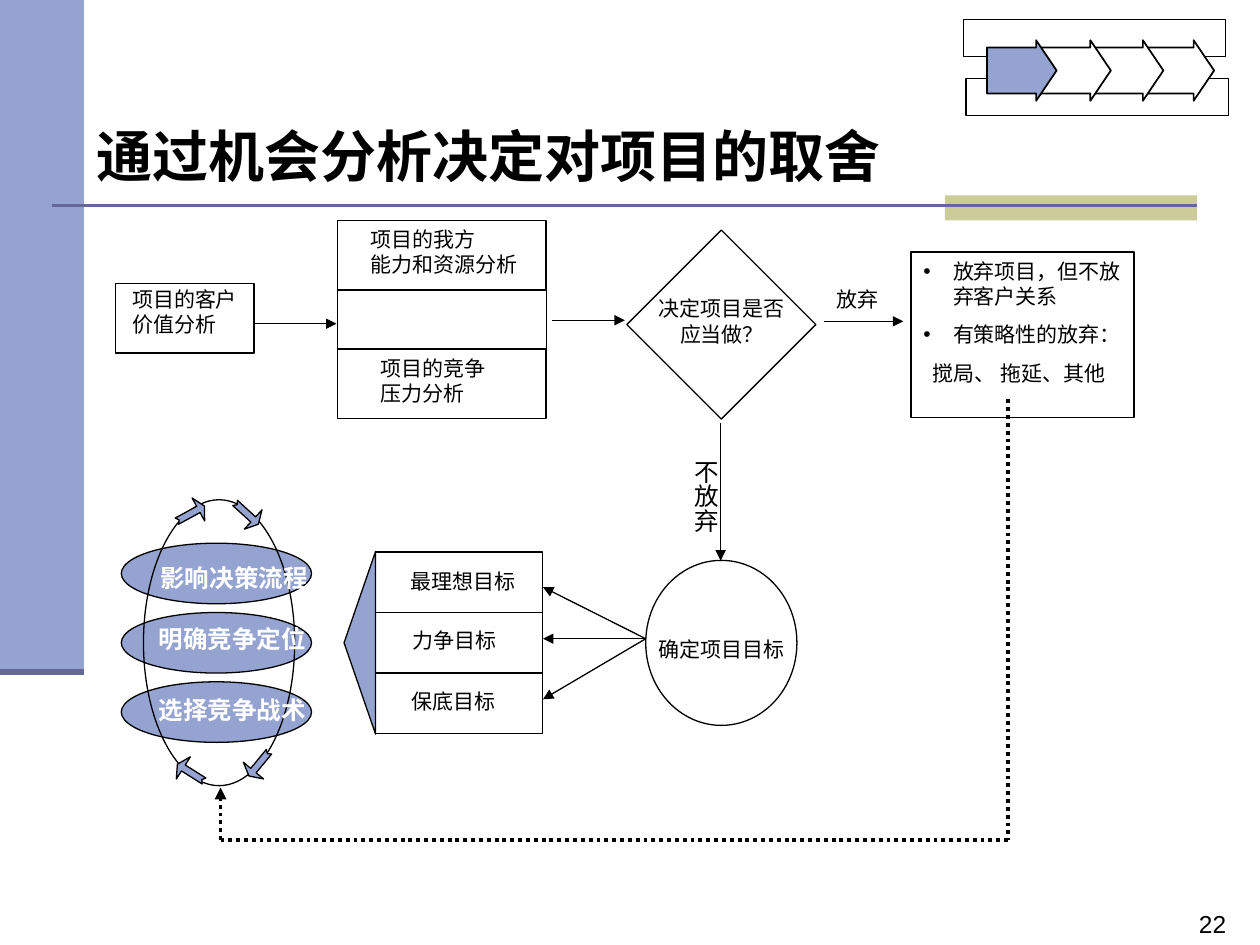
import pptx
import pptx.util
import pptx.dml.color
import pptx.enum.dml
import pptx.enum.shapes
import pptx.enum.text
import pptx.oxml.ns
import lxml.etree

Pt = pptx.util.Pt
SHAPE = pptx.enum.shapes.MSO_SHAPE
ALIGN = pptx.enum.text.PP_ALIGN
SANS = "Noto Sans CJK SC"
BLUE, VIOLET, SAND = "95A3D1", "666699", "CCCC99"
BLACK, WHITE = "000000", "FFFFFF"


def rgb(value):
    return pptx.dml.color.RGBColor.from_string(value)


def add_xml(parent, tag, **attrs):
    return lxml.etree.SubElement(parent, pptx.oxml.ns.qn(tag), attrs)


def paint(s, fill=None, line=BLACK, width=0.75):
    s.shadow.inherit = False
    if fill:
        s.fill.solid()
        s.fill.fore_color.rgb = rgb(fill)
    else:
        s.fill.background()
    if line:
        s.line.color.rgb = rgb(line)
        s.line.width = Pt(width)
    else:
        s.line.fill.background()


def add_shape(sp, kind, x, y, w, h, fill=None, line=BLACK, width=0.75, adj=()):
    s = sp.add_shape(kind, Pt(x), Pt(y), Pt(w), Pt(h))
    paint(s, fill, line, width)
    for i, value in enumerate(adj):
        s.adjustments[i] = value
    return s


def add_line(sp, x1, y1, x2, y2, color=BLACK, width=0.75, dotted=False, arrow=False):
    s = sp.add_connector(pptx.enum.shapes.MSO_CONNECTOR.STRAIGHT,
                         Pt(x1), Pt(y1), Pt(x2), Pt(y2))
    s.line.color.rgb = rgb(color)
    s.line.width = Pt(width)
    if dotted:
        s.line.dash_style = pptx.enum.dml.MSO_LINE.ROUND_DOT
    if arrow:
        add_xml(s.line._get_or_add_ln(), "a:tailEnd", type="triangle")
    add_xml(s._element.spPr, "a:effectLst")


def format_text(tf, size=12, font=SANS, color=BLACK, bold=False, align=ALIGN.LEFT):
    for p in tf.paragraphs:
        p.alignment = align
        for r in p.runs:
            r.font.size = Pt(size)
            r.font.bold = bold
            r.font.color.rgb = rgb(color)
            r.font.name = font
            add_xml(r._r.get_or_add_rPr(), "a:ea", typeface=SANS)


def add_text(sp, text, x, y, w, h, wrap=False, **style):
    s = sp.add_textbox(Pt(x), Pt(y), Pt(w), Pt(h))
    tf = s.text_frame
    tf.word_wrap = wrap
    tf.text = text
    format_text(tf, **style)
    return tf


def add_cycle_arrow(sp, cx, cy, angle):
    outline = [(-9, -2), (5, -2), (5, -7.5), (9, 0), (5, 7.5), (5, 2), (-9, 2), (-7.5, 0)]
    points = [(Pt(cx + x), Pt(cy + y)) for x, y in outline]
    builder = sp.build_freeform(*points[0])
    builder.add_line_segments(points[1:], close=True)
    s = builder.convert_to_shape()
    paint(s, BLUE)
    s.rotation = angle


def draw_frame(sp):
    add_shape(sp, SHAPE.RECTANGLE, 0, 0, 48, 384, BLUE, None)
    add_shape(sp, SHAPE.RECTANGLE, 540, 111.6, 144, 14.4, SAND, None)
    add_line(sp, 30, 117.6, 684, 117.6, VIOLET, 1.5)
    add_line(sp, 0, 384, 48, 384, VIOLET, 3.5)
    add_text(sp, "22", 678, 516, 60, 24.5, True, size=14, font="Arial")
    add_text(sp, "通过机会分析决定对项目的取舍", 48, 66, 567, 46, True, size=32, bold=True)


def draw_progress(sp):
    for x, y in ((550.5, 11.2), (552, 44.8)):
        add_shape(sp, SHAPE.RECTANGLE, x, y, 150, 21.2, WHITE)
    for x, fill in ((654, WHITE), (625, WHITE), (595, WHITE), (564, BLUE)):
        add_shape(sp, SHAPE.RIGHT_ARROW, x, 23, 39.8, 34.6, fill, width=1, adj=(0.759, 0.338))


def draw_analysis(sp):
    for x, y, w in ((66.2, 162, 79), (193, 199.5, 119), (193, 126, 119)):
        add_shape(sp, SHAPE.RECTANGLE, x, y, w, 39.8)
    add_text(sp, "项目的客户\v价值分析", 68.4, 160, 76, 36)
    add_text(sp, "项目的竞争\v压力分析", 210.4, 199.5, 76, 36)
    add_text(sp, "项目的我方\v能力和资源分析", 204.5, 126, 101, 36)
    for x in (193, 312.3):
        add_line(sp, x, 165.6, x, 199.5)
    add_shape(sp, SHAPE.DIAMOND, 358.2, 131.5, 108, 108)
    for x1, x2, y in ((146, 192.3, 185), (315.4, 357.1, 183), (471, 516.2, 183.6)):
        add_line(sp, x1, y, x2, y, arrow=True)
    add_text(sp, "放弃", 471, 160, 40, 21.6)
    add_text(sp, "决定项目是否\n应当做？", 368.6, 165.6, 88, 36, align=ALIGN.CENTER)


def draw_objectives(sp):
    top, step = 315.4, 34.6
    labels = (("最理想目标", 227.5, 321.1, 76), ("力争目标", 228.5, 355, 64),
              ("保底目标", 228.3, 390.2, 64))
    for i, (text, x, y, w) in enumerate(labels):
        add_shape(sp, SHAPE.RECTANGLE, 214.6, top + i * step, 95.4, step)
        add_text(sp, text, x, y, w, 21.6)
    add_shape(sp, SHAPE.OVAL, 369, 320.2, 86.4, 94.3)
    add_text(sp, "确定项目目标", 368.6, 360, 88, 21.6, align=ALIGN.CENTER)
    for y in (365, 335.5, 399.6):
        add_line(sp, 369, 365, 310.3, y, arrow=True)
    s = add_shape(sp, SHAPE.ISOSCELES_TRIANGLE, 153.4, 358.3, 104.4, 18, BLUE)
    s.rotation = 270
    add_line(sp, 411.8, 242, 411.8, 320.4, arrow=True)
    tf = add_text(sp, "不放弃", 384.5, 255.5, 31, 62.6, True, size=14, font="Arial")
    tf._txBody.bodyPr.set("vert", "eaVert")
    tf.margin_left = tf.margin_right = Pt(3.6)
    tf.margin_top = tf.margin_bottom = Pt(7.2)


def draw_cycle(sp):
    for i in range(3):
        add_shape(sp, SHAPE.OVAL, 69.3, 310.4 + i * 39.6, 108.7, 34.6, BLUE)
    add_shape(sp, SHAPE.OVAL, 82, 285.6, 86.4, 163.4)
    for cx, cy, angle in ((109, 293.5, 331.4), (141, 293.5, 42.5),
                          (109, 441.5, 212.3), (148, 436.5, 129.5)):
        add_cycle_arrow(sp, cx, cy, angle)
    for text, x, y in (("影响决策流程", 84.6, 318.4), ("明确竞争定位", 83.5, 352.8),
                       ("选择竞争战术", 83.5, 393.8)):
        add_text(sp, text, x, y, 100, 24.5, size=14, color=WHITE, bold=True)


def draw_abandon(sp):
    s = add_shape(sp, SHAPE.RECTANGLE, 520.5, 144, 127.6, 94.6)
    tf = s.text_frame
    tf.word_wrap = True
    tf.vertical_anchor = pptx.enum.text.MSO_ANCHOR.TOP
    tf.text = "放弃项目，但不放弃客户关系\n有策略性的放弃：\n搅局、 拖延、其他"
    for p in tf.paragraphs[:2]:
        pPr = p._p.get_or_add_pPr()
        pPr.set("marL", str(Pt(17)))
        pPr.set("indent", str(-Pt(17)))
        add_xml(pPr, "a:buFont", typeface="Arial")
        add_xml(pPr, "a:buChar", char="•")
    tf.paragraphs[2]._p.get_or_add_pPr().set("marL", str(Pt(5.5)))
    for p in tf.paragraphs[1:]:
        p.space_before = Pt(7.5)
    format_text(tf, font="Arial")
    add_line(sp, 576, 480, 126, 480, width=2.25, dotted=True)
    add_line(sp, 576, 228.2, 576, 480, width=2.25, dotted=True)
    add_line(sp, 126, 480, 126, 450, width=2.25, dotted=True, arrow=True)


def main():
    prs = pptx.Presentation()
    prs.slide_width, prs.slide_height = Pt(720), Pt(540)
    sp = prs.slides.add_slide(prs.slide_layouts[6]).shapes
    draw_frame(sp)
    draw_progress(sp)
    draw_analysis(sp)
    draw_objectives(sp)
    draw_cycle(sp)
    draw_abandon(sp)
    prs.save("out.pptx")


if __name__ == "__main__":
    main()
